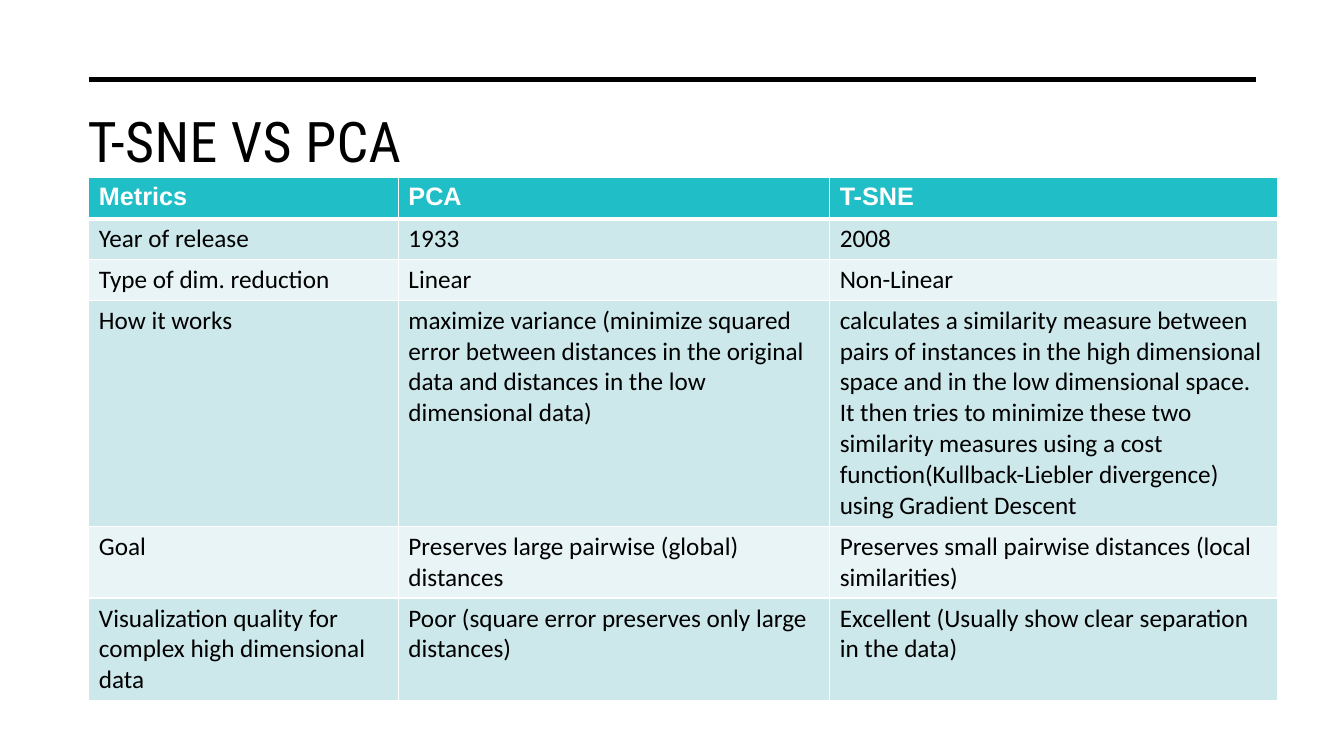
from dataclasses import dataclass

from lxml.etree import SubElement
from pptx import Presentation
from pptx.dml.color import RGBColor
from pptx.enum.shapes import MSO_CONNECTOR
from pptx.enum.text import MSO_ANCHOR
from pptx.oxml.ns import qn
from pptx.slide import Slide
from pptx.table import _Cell
from pptx.util import Cm, Pt

BLACK = RGBColor(0x00, 0x00, 0x00)
WHITE = RGBColor(0xFF, 0xFF, 0xFF)
TEAL = RGBColor(0x20, 0xBF, 0xC7)
BAND_DARK = RGBColor(0xCD, 0xE8, 0xEB)
BAND_LIGHT = RGBColor(0xE8, 0xF4, 0xF5)

LEFT = 2.24
COLUMN_WIDTHS = (7.8, 10.87, 11.3)


@dataclass(frozen=True)
class Comparison:
    metric: str
    pca: str
    tsne: str
    height: float = 1.03


HEADER = Comparison("Metrics", "PCA", "T-SNE")
COMPARISONS = (
    Comparison("Year of release", "1933", "2008"),
    Comparison("Type of dim. reduction", "Linear", "Non-Linear"),
    Comparison(
        "How it works",
        "maximize variance (minimize squared error between distances in the "
        "original data and distances in the low dimensional data)",
        "calculates a similarity measure between pairs of instances in the high "
        "dimensional space and in the low dimensional space. It then tries to "
        "minimize these two similarity measures using a cost "
        "function(Kullback-Liebler divergence) using Gradient Descent",
        5.7,
    ),
    Comparison(
        "Goal",
        "Preserves large pairwise (global) distances",
        "Preserves small pairwise distances (local similarities)",
        1.8,
    ),
    Comparison(
        "Visualization quality for complex high dimensional data",
        "Poor (square error preserves only large distances)",
        "Excellent (Usually show clear separation in the data)",
        2.58,
    ),
)


def add_rule(s: Slide) -> None:
    line = s.shapes.add_connector(
        MSO_CONNECTOR.STRAIGHT, Cm(LEFT), Cm(2), Cm(31.65), Cm(2)
    )
    line.line.color.rgb = BLACK
    line.line.width = Pt(3.5)
    SubElement(line._element.spPr, qn("a:effectLst"))


def add_title(s: Slide, text: str) -> None:
    tf = s.shapes.add_textbox(Cm(1.96), Cm(2.57), Cm(29.69), Cm(3.81)).text_frame
    tf.word_wrap = True
    tf.vertical_anchor = MSO_ANCHOR.TOP
    p = tf.paragraphs[0]
    r = p.add_run()
    r.text = text
    r._r.get_or_add_rPr().set("spc", "30")
    p.font.name = "Roboto Condensed"
    p.font.size = Pt(40)
    p.font.color.rgb = BLACK


def set_borders(cell: _Cell, bottom: float, top: float) -> None:
    """Draw white borders, which must precede the fill in the cell properties."""
    widths = {"a:lnL": 1, "a:lnR": 1, "a:lnT": top, "a:lnB": bottom}
    for tag, width in widths.items():
        ln = SubElement(cell._tc.get_or_add_tcPr(), qn(tag), w=str(Pt(width)))
        fill = SubElement(ln, qn("a:solidFill"))
        SubElement(fill, qn("a:srgbClr"), val=str(WHITE))


def fill_cell(cell: _Cell, text: str, row: int) -> None:
    is_header = row == 0
    set_borders(cell, bottom=3 if is_header else 1, top=3 if row == 1 else 1)
    cell.fill.solid()
    band = BAND_DARK if row % 2 else BAND_LIGHT
    cell.fill.fore_color.rgb = TEAL if is_header else band
    cell.text = text
    font = cell.text_frame.paragraphs[0].font
    font.name = "Arial" if is_header else "Calibri"
    font.size = Pt(18)
    font.bold = is_header
    font.color.rgb = WHITE if is_header else BLACK


def add_comparison_table(s: Slide) -> None:
    rows = (HEADER, *COMPARISONS)
    table = s.shapes.add_table(
        len(rows), len(COLUMN_WIDTHS), Cm(LEFT), Cm(4.48),
        Cm(sum(COLUMN_WIDTHS)), Cm(sum(row.height for row in rows)),
    ).table
    for column, width in zip(table.columns, COLUMN_WIDTHS):
        column.width = Cm(width)
    for i, row in enumerate(rows):
        table.rows[i].height = Cm(row.height)
        for j, text in enumerate((row.metric, row.pca, row.tsne)):
            fill_cell(table.cell(i, j), text, i)


def main() -> None:
    prs = Presentation()
    prs.slide_width, prs.slide_height = Cm(33.87), Cm(19.05)
    s = prs.slides.add_slide(prs.slide_layouts[6])
    add_rule(s)
    add_title(s, "T-SNE VS PCA")
    add_comparison_table(s)
    prs.save("out.pptx")


if __name__ == "__main__":
    main()
